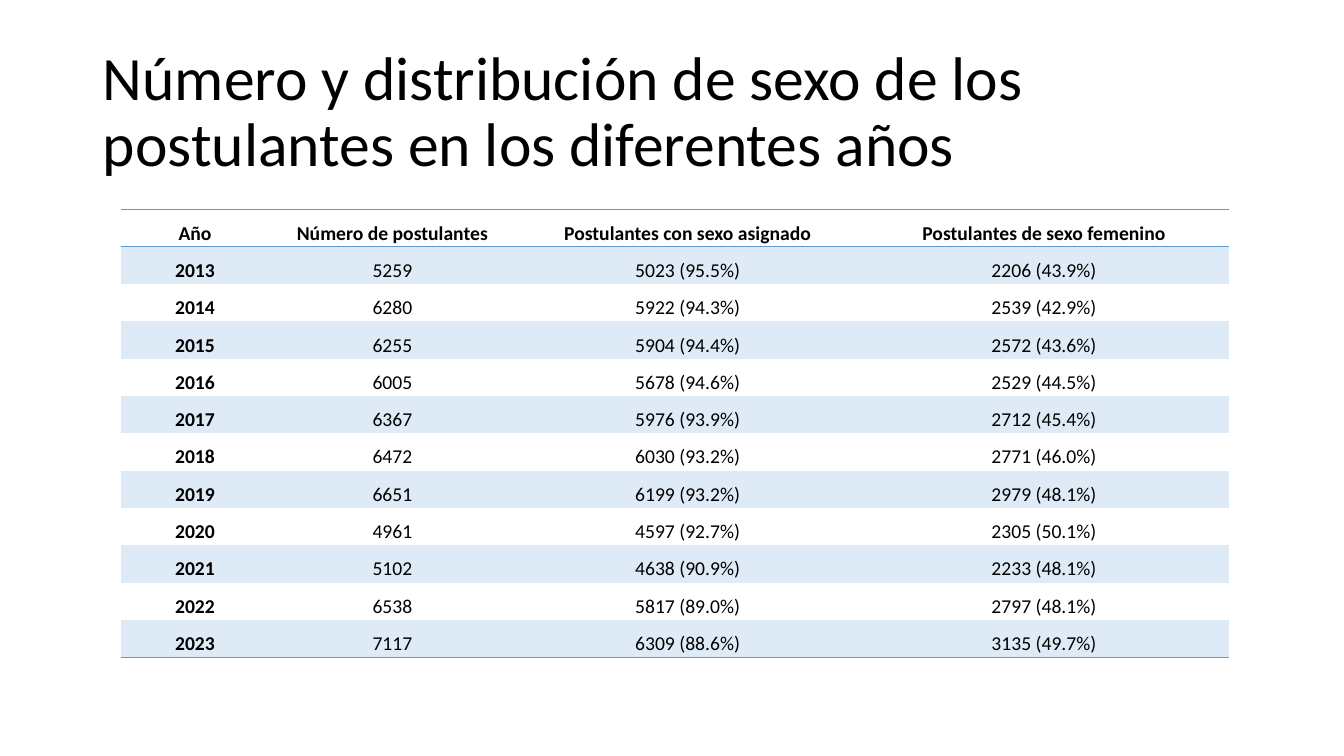
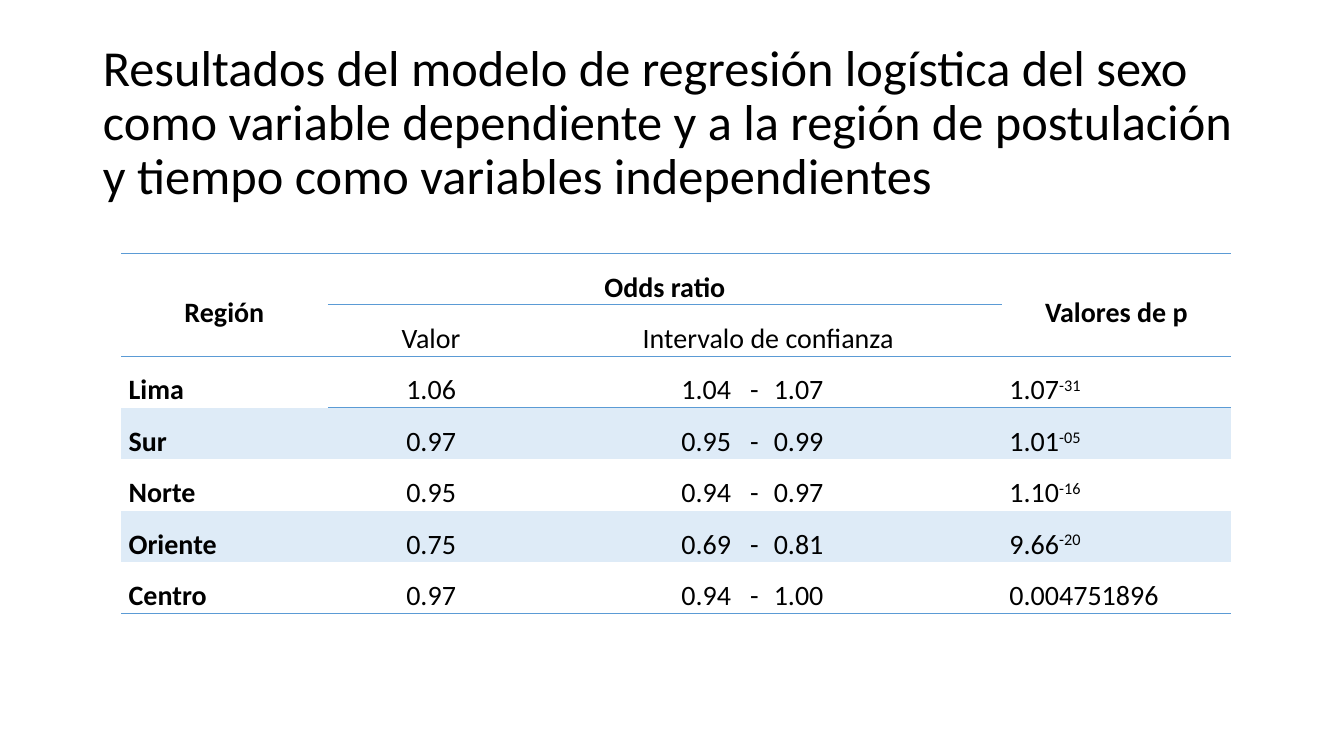
from lxml import etree
from pptx import Presentation
from pptx.dml.color import RGBColor
from pptx.enum import text as t
from pptx.oxml import ns
from pptx.util import Cm, Pt

BLACK = RGBColor(0x00, 0x00, 0x00)
WHITE = RGBColor(0xFF, 0xFF, 0xFF)
RULE_BLUE = RGBColor(0x5B, 0x9B, 0xD5)
BAND_BLUE = RGBColor(0xDE, 0xEB, 0xF7)
FONT = "Calibri"
PLAIN_TABLE_STYLE = "{2D5ABB26-0587-4C30-8999-92F81FD0307C}"

TITLE_BOX = {"left": Cm(2.34), "top": Cm(1.02), "width": Cm(29.21)}
TITLE_FRAME = {
    "word_wrap": True,
    "auto_size": t.MSO_AUTO_SIZE.NONE,
    "vertical_anchor": t.MSO_ANCHOR.MIDDLE,
}
TITLE_PARAGRAPH = {"alignment": t.PP_ALIGN.LEFT, "line_spacing": 0.9}
CELL_MARGINS = {
    "margin_left": Cm(0.19),
    "margin_right": Cm(0.19),
    "margin_top": 0,
    "margin_bottom": 0,
}
CELL_PARAGRAPH = {"line_spacing": 1.5, "space_before": Pt(6), "space_after": Pt(14)}
TABLE_LEFT = Cm(3.05)
CENTER, RIGHT, JUSTIFY = t.PP_ALIGN.CENTER, t.PP_ALIGN.RIGHT, t.PP_ALIGN.JUSTIFY

APPLICANT_HEADINGS = [
    "Año",
    "Número de postulantes",
    "Postulantes con sexo asignado",
    "Postulantes de sexo femenino",
]
APPLICANTS = [
    ("2013", "5259", "5023 (95.5%)", "2206 (43.9%)"),
    ("2014", "6280", "5922 (94.3%)", "2539 (42.9%)"),
    ("2015", "6255", "5904 (94.4%)", "2572 (43.6%)"),
    ("2016", "6005", "5678 (94.6%)", "2529 (44.5%)"),
    ("2017", "6367", "5976 (93.9%)", "2712 (45.4%)"),
    ("2018", "6472", "6030 (93.2%)", "2771 (46.0%)"),
    ("2019", "6651", "6199 (93.2%)", "2979 (48.1%)"),
    ("2020", "4961", "4597 (92.7%)", "2305 (50.1%)"),
    ("2021", "5102", "4638 (90.9%)", "2233 (48.1%)"),
    ("2022", "6538", "5817 (89.0%)", "2797 (48.1%)"),
    ("2023", "7117", "6309 (88.6%)", "3135 (49.7%)"),
]

# Region, odds ratio, lower and upper limit, p value and its exponent
REGIONS = [
    ("Lima", "1.06", "1.04", "1.07", "1.07", "-31"),
    ("Sur", "0.97", "0.95", "0.99", "1.01", "-05"),
    ("Norte", "0.95", "0.94", "0.97", "1.10", "-16"),
    ("Oriente", "0.75", "0.69", "0.81", "9.66", "-20"),
    ("Centro", "0.97", "0.94", "1.00", "0.004751896", ""),
]
REGION_ALIGNMENTS = [JUSTIFY, CENTER, RIGHT, JUSTIFY, JUSTIFY]
WIDE_SPACE = (" ", {"spc": "900"})
SUPERSCRIPT = {"baseline": "30000"}


def apply_format(target, values):
    for name, value in values.items():
        setattr(target, name, value)


def set_font(font, size, bold=False):
    apply_format(font, {"name": FONT, "size": Pt(size), "bold": bold})
    font.color.rgb = BLACK


def add_titled_slide(deck, title, height, size):
    slide = deck.slides.add_slide(deck.slide_layouts[5])
    heading = slide.shapes.title
    apply_format(heading, {**TITLE_BOX, "height": height})
    frame = heading.text_frame
    frame.text = title
    apply_format(frame, TITLE_FRAME)
    apply_format(frame.paragraphs[0], TITLE_PARAGRAPH)
    set_font(frame.paragraphs[0].runs[0].font, size)
    return slide


def add_plain_table(slide, top, widths, row_count, row_height):
    table = slide.shapes.add_table(
        row_count, len(widths), TABLE_LEFT, top, sum(widths), row_height * row_count
    ).table
    apply_format(table, {"first_row": False, "horz_banding": False})
    table._tbl.tblPr.find(ns.qn("a:tableStyleId")).text = PLAIN_TABLE_STYLE
    for column, width in zip(table.columns, widths):
        column.width = width
    return table


def write_cell(cell, runs, size, bold=False, align=CENTER, fill=WHITE,
               anchor=t.MSO_ANCHOR.TOP):
    """Fill a cell; runs is a string or a list of (text, run attributes)."""
    apply_format(cell, {**CELL_MARGINS, "vertical_anchor": anchor})
    cell.fill.solid()
    cell.fill.fore_color.rgb = fill
    paragraph = cell.text_frame.paragraphs[0]
    apply_format(paragraph, {**CELL_PARAGRAPH, "alignment": align})
    for content, attributes in [(runs, {})] if isinstance(runs, str) else runs:
        run = paragraph.add_run()
        run.text = content
        set_font(run.font, size, bold)
        for name, value in attributes.items():
            run._r.get_or_add_rPr().set(name, value)


def rule_cells(cells, *sides):
    """Draw blue rules on the given sides, "T" before "B"."""
    for cell in cells:
        properties = cell._tc.get_or_add_tcPr()
        for position, side in enumerate(sides):
            line = etree.Element(ns.qn(f"a:ln{side}"), w=str(Pt(1)))
            fill = etree.SubElement(line, ns.qn("a:solidFill"))
            etree.SubElement(fill, ns.qn("a:srgbClr"), val=str(RULE_BLUE))
            properties.insert(position, line)


def band(index, first):
    return BAND_BLUE if index % 2 == first else WHITE


def build_applicants(deck):
    slide = add_titled_slide(
        deck,
        "Número y distribución de sexo de los postulantes en los diferentes años",
        Cm(3.68), 44,
    )
    widths = [Cm(3.73), Cm(6.22), Cm(8.66), Cm(9.3)]
    table = add_plain_table(slide, Cm(5.28), widths, len(APPLICANTS) + 1, Cm(0.94))
    for column, heading in enumerate(APPLICANT_HEADINGS):
        write_cell(table.cell(0, column), heading, 14, bold=True)
    for index, values in enumerate(APPLICANTS):
        for column, value in enumerate(values):
            write_cell(table.cell(index + 1, column), value, 14,
                       bold=column == 0, fill=band(index, 0))
    rule_cells(table.rows[0].cells, "T", "B")
    rule_cells(table.rows[len(APPLICANTS)].cells, "B")


def build_regression(deck):
    slide = add_titled_slide(
        deck,
        "Resultados del modelo de regresión logística del sexo como variable "
        "dependiente y a la región de postulación y tiempo como variables "
        "independientes",
        Cm(4.22), 36,
    )
    widths = [Cm(5.21), Cm(5.21), Cm(5.84), Cm(5.94), Cm(5.77)]
    table = add_plain_table(slide, Cm(6.38), widths, len(REGIONS) + 2, Cm(1.28))
    # Heading, bold, first cell, last cell
    headings = [
        ("Región", True, (0, 0), (1, 0)),
        ("Odds ratio", True, (0, 1), (0, 3)),
        ("Valores de p", True, (0, 4), (1, 4)),
        ("Valor", False, (1, 1), (1, 1)),
        ("Intervalo de confianza", False, (1, 2), (1, 3)),
    ]
    for heading, bold, first, last in headings:
        cell = table.cell(*first)
        if first != last:
            cell.merge(table.cell(*last))
        write_cell(cell, heading, 20, bold, anchor=t.MSO_ANCHOR.MIDDLE)

    for index, (region, ratio, low, high, p_value, exponent) in enumerate(REGIONS):
        p_runs = [(p_value, {})] + ([(exponent, SUPERSCRIPT)] if exponent else [])
        contents = [region, ratio, [(low, {}), WIDE_SPACE, ("-", {})], high, p_runs]
        for column, (runs, align) in enumerate(zip(contents, REGION_ALIGNMENTS)):
            write_cell(table.cell(index + 2, column), runs, 20,
                       column == 0, align, band(index, 1))

    rule_cells(table.rows[0].cells, "T", "B")
    rule_cells(table.rows[1].cells, "B")
    rule_cells(list(table.rows[2].cells)[1:], "B")
    rule_cells(table.rows[len(REGIONS) + 1].cells, "B")


def main():
    deck = Presentation()
    apply_format(deck, {"slide_width": Cm(33.87), "slide_height": Cm(19.05)})
    build_applicants(deck)
    build_regression(deck)
    deck.save("out.pptx")


if __name__ == "__main__":
    main()
